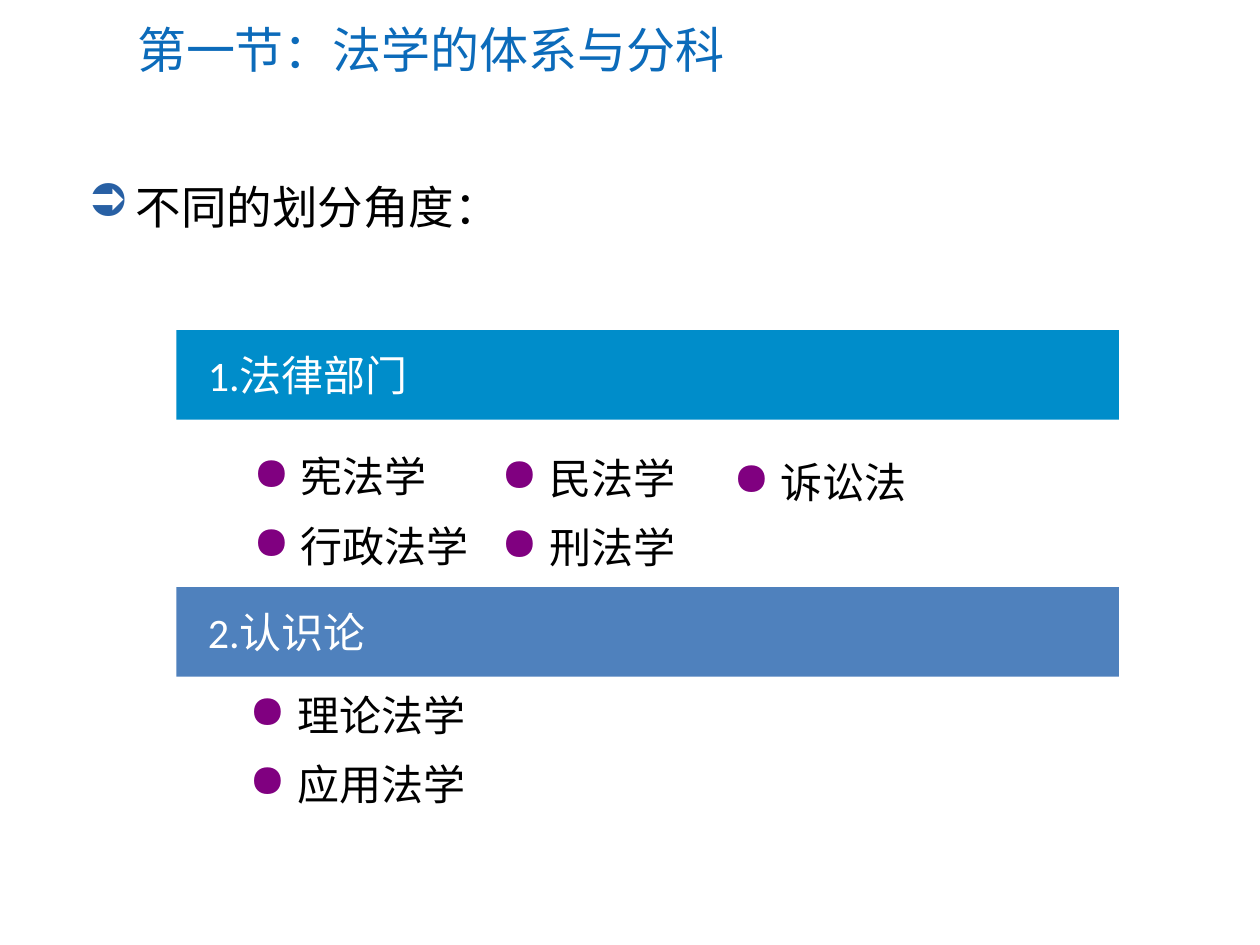
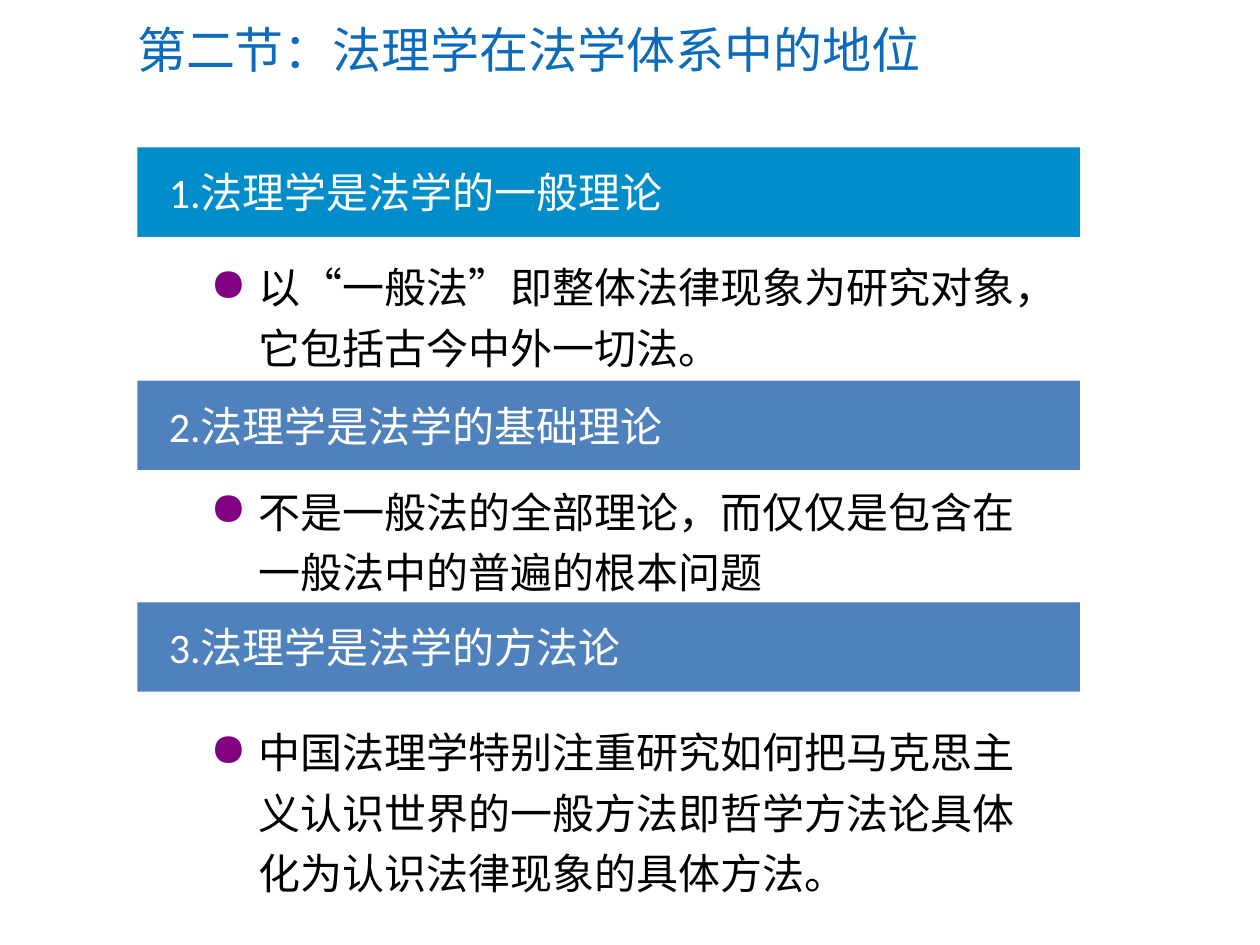
from lxml import etree
from pptx import Presentation, util as u
from pptx.dml.color import RGBColor
from pptx.enum import shapes, text
from pptx.oxml import ns

COLORS = {
    "title": "0C6BBA", "body": "000000", "band_text": "FFFFFF",
    "first_band": "008DCA", "next_band": "4F81BD",
    "arrow": "2860A4", "dot": "800080",
}
FONT = "Calibri"
COLUMNS, ROWS = 100, 75
BAND_WIDTH, BAND_HEIGHT = 74.8, 7.1
ITEM_INDENT = 4.8  # columns from the left of a band to its items

deck = Presentation()
deck.slide_width, deck.slide_height = u.Inches(10), u.Inches(7.5)
column, row = deck.slide_width / COLUMNS, deck.slide_height / ROWS


def add_block(page, at, lines, size, color, fill=None, bullet=None, spacing=None):
    """Add text at (left, top, width, height) in grid cells; a fill makes it a band."""
    left, top, width, height = at
    place = [int(n) for n in (left * column, top * row, width * column, height * row)]
    if fill:
        box = page.shapes.add_shape(shapes.MSO_SHAPE.RECTANGLE, *place)
        box.shadow.inherit = False
        box.fill.solid()
        box.fill.fore_color.rgb = RGBColor.from_string(COLORS[fill])
        box.line.fill.background()
    else:
        box = page.shapes.add_textbox(*place)
    frame = box.text_frame
    frame.word_wrap = True
    if not bullet:
        frame.vertical_anchor = text.MSO_ANCHOR.MIDDLE
    if fill:
        frame.margin_left = u.Inches(0.25)
    for index, line in enumerate(lines):
        para = frame.paragraphs[0] if index == 0 else frame.add_paragraph()
        para.alignment = text.PP_ALIGN.LEFT
        if bullet:
            add_bullet(para, *bullet)
        if spacing:
            para.line_spacing = spacing
        if index:
            para.space_before = u.Pt(5)
        span = para.add_run()
        span.text = line
        span.font.name, span.font.size = FONT, u.Pt(size)
        span.font.color.rgb = RGBColor.from_string(COLORS[color])


def add_bullet(para, mark, color, percent):
    props = para._p.get_or_add_pPr()
    indent = u.Inches(0.38)
    props.set("marL", str(indent))
    props.set("indent", str(-indent))
    tint = etree.SubElement(props, ns.qn("a:buClr"))
    etree.SubElement(tint, ns.qn("a:srgbClr"), val=COLORS[color])
    etree.SubElement(props, ns.qn("a:buSzPct"), val=str(percent * 1000))
    etree.SubElement(props, ns.qn("a:buChar"), char=mark)


# Items: (columns right of the item indent, top, width, height, lines)
sections = [
    {
        "title": "第一节：法学的体系与分科",
        "lead": "不同的划分角度：",
        "left": 14,
        "bands": [(26.2, "1.法律部门"), (46.6, "2.认识论")],
        "items": [
            (0.3, 34.5, 19.8, 11.5, ["宪法学", "行政法学"]),
            (20, 34.6, 18.3, 11.1, ["民法学", "刑法学"]),
            (38.4, 34.9, 18.3, 5.5, ["诉讼法"]),
            (0, 53.4, 50, 11.5, ["理论法学", "应用法学"]),
        ],
    },
    {
        "title": "第二节：法理学在法学体系中的地位",
        "lead": None,
        "left": 10.9,
        "bands": [
            (11.7, "1.法理学是法学的一般理论"),
            (30.2, "2.法理学是法学的基础理论"),
            (47.8, "3.法理学是法学的方法论"),
        ],
        "items": [
            (0, 19.5, 68.4, 10.7, ["以“一般法”即整体法律现象为研究对象，它包括古今中外一切法。"]),
            (0, 37.3, 68.4, 10.7, ["不是一般法的全部理论，而仅仅是包含在一般法中的普遍的根本问题"]),
            (0, 56.4, 68.4, 14.9, ["中国法理学特别注重研究如何把马克思主义认识世界的一般方法"
                                   "即哲学方法论具体化为认识法律现象的具体方法。"]),
        ],
    },
]

for section in sections:
    page = deck.slides.add_slide(deck.slide_layouts[6])
    add_block(page, (9.9, 1, 87.2, 5.8), [section["title"]], 28, "title")
    if section["lead"]:
        add_block(page, (6, 13.7, 75.6, 6.3), [section["lead"]], 26, "body",
                  bullet=("➲", "arrow", 100))
    for number, (top, heading) in enumerate(section["bands"]):
        add_block(page, (section["left"], top, BAND_WIDTH, BAND_HEIGHT), [heading], 24,
                  "band_text", fill="next_band" if number else "first_band")
    for shift, top, width, height, lines in section["items"]:
        left = section["left"] + ITEM_INDENT + shift
        add_block(page, (left, top, width, height), lines, 24, "body",
                  bullet=("●", "dot", 110), spacing=1.2)

deck.save("out.pptx")
